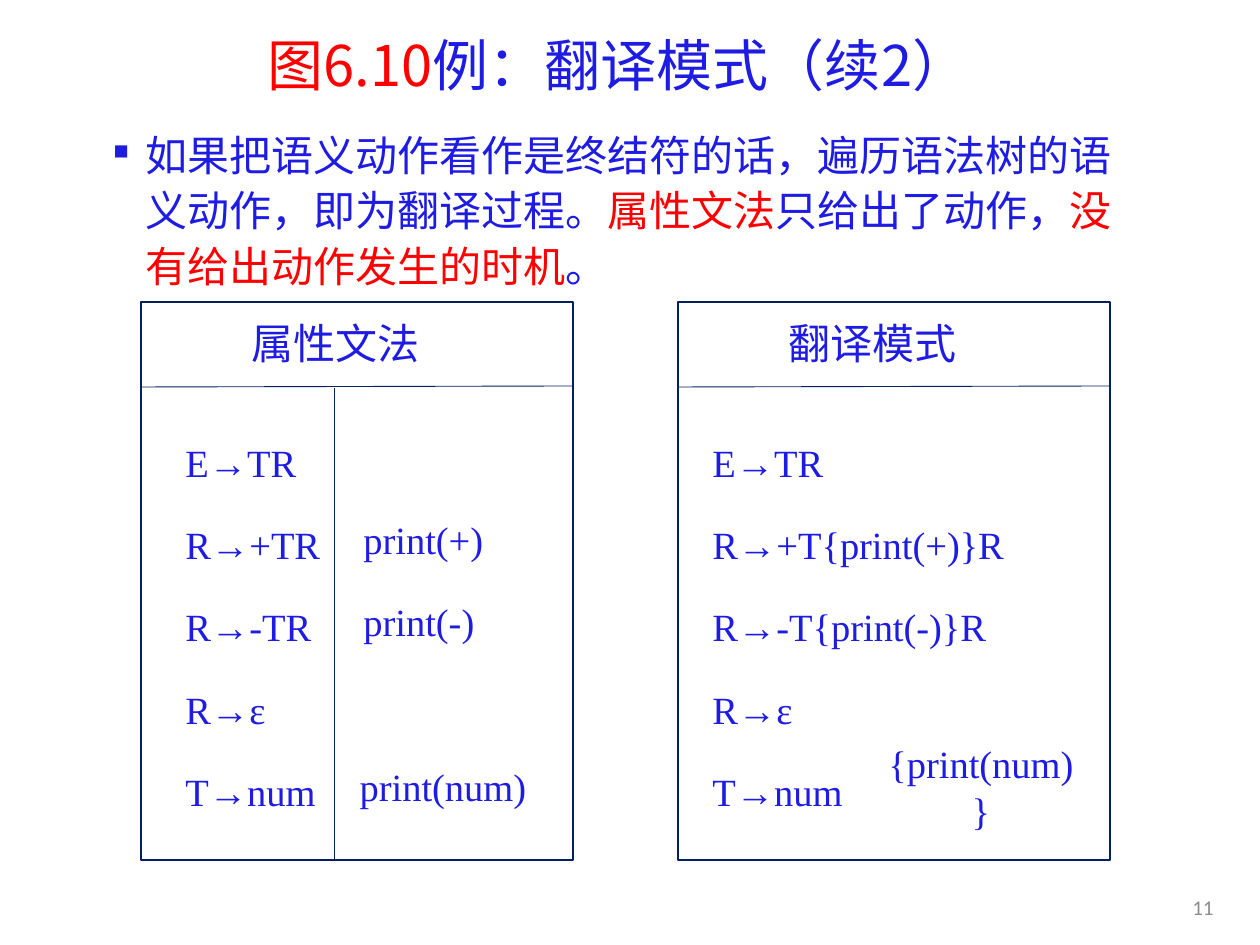
from lxml import etree
from pptx import Presentation
from pptx.dml.color import RGBColor
from pptx.enum.shapes import MSO_CONNECTOR, MSO_SHAPE
from pptx.enum.text import MSO_ANCHOR, PP_ALIGN
from pptx.oxml.ns import qn
from pptx.util import Pt

BLUE = RGBColor(0x1E, 0x1C, 0xE3)
RED = RGBColor(0xFF, 0x00, 0x00)
NAVY = RGBColor(0x00, 0x20, 0x60)
GRAY = RGBColor(0x8C, 0x8C, 0x8C)
RECTANGLE = MSO_SHAPE.RECTANGLE
STRAIGHT = MSO_CONNECTOR.STRAIGHT
TOP, MIDDLE = MSO_ANCHOR.TOP, MSO_ANCHOR.MIDDLE
LEFT, CENTER, RIGHT = PP_ALIGN.LEFT, PP_ALIGN.CENTER, PP_ALIGN.RIGHT
TITLE_FONT = "Noto Sans CJK JP"
BODY_FONT = "Noto Sans CJK SC"
CODE_FONT = "Times New Roman"
PAGE_FONT = "Calibri"
EMU_PER_PX = 914400 / 126

RULE_SPACING = {"line_spacing": 1.1, "space_before": Pt(6), "space_after": Pt(12)}
BODY_SPACING = {"line_spacing": 1.1, "space_before": Pt(6), "space_after": Pt(6)}


def emu(*lengths):
    return [round(length * EMU_PER_PX) for length in lengths]


class SlideBuilder:
    def __init__(self, slide):
        self.slide = slide
        self.text_color = BLUE
        self.line_color = NAVY

    def text(self, box, paragraphs, font, size, anchor=MIDDLE, color=None, **layout):
        frame = self.slide.shapes.add_textbox(*emu(*box)).text_frame
        frame.word_wrap = True
        frame.vertical_anchor = anchor
        for index, runs in enumerate(paragraphs):
            paragraph = frame.add_paragraph() if index else frame.paragraphs[0]
            for name, value in layout.items():
                setattr(paragraph, name, value)
            for words, run_color in runs:
                run = paragraph.add_run()
                run.text = words
                format_values = {"name": font, "size": Pt(size)}
                for name, value in format_values.items():
                    setattr(run.font, name, value)
                run.font.color.rgb = run_color or color or self.text_color
                east_asian = etree.SubElement(run.font._element, qn("a:ea"))
                east_asian.set("typeface", font)
        return frame

    def lines(self, box, lines, font, size, **options):
        return self.text(box, [[(line, None)] for line in lines], font, size, **options)

    def bullet(self, paragraph, indent):
        properties = paragraph._p.get_or_add_pPr()
        margin = emu(indent)[0]
        properties.set("marL", str(margin))
        properties.set("indent", str(-margin))
        etree.SubElement(properties, qn("a:buSzPct")).set("val", "50000")
        etree.SubElement(properties, qn("a:buChar")).set("char", "■")

    def frame(self, box):
        outline = self.slide.shapes.add_shape(RECTANGLE, *emu(*box))
        outline.shadow.inherit = False
        outline.fill.background()
        outline.line.color.rgb = self.line_color
        outline.line.width = Pt(1)

    def rule(self, *ends):
        divider = self.slide.shapes.add_connector(STRAIGHT, *emu(*ends))
        divider.line.color.rgb = self.line_color
        divider.line.width = Pt(0.5)
        etree.SubElement(divider._element.spPr, qn("a:effectLst"))

    def panel(self, left, heading, productions, production_box):
        top, width, height = 302, 432, 558
        self.frame((left, top, width, height))
        self.rule(left, top + 85, left + width, top + 84)
        self.lines((left + 98, top + 5, 212, 72), [heading], BODY_FONT, 24)
        offset, production_width = production_box
        self.lines((left + offset, 425, production_width, 398), productions,
                   CODE_FONT, 22, **RULE_SPACING)


def main():
    presentation = Presentation()
    presentation.slide_width, presentation.slide_height = emu(1260, 945)
    builder = SlideBuilder(presentation.slides.add_slide(presentation.slide_layouts[6]))

    builder.text((158, 26, 920, 84), [[("图6.10", RED), ("例：翻译模式（续2）", None)]],
                 TITLE_FONT, 32, alignment=CENTER, line_spacing=0.9)

    explanation = [
        ("如果把语义动作看作是终结符的话，遍历语法树的语义动作，即为翻译过程。", None),
        ("属性文法", RED),
        ("只给出了动作，", None),
        ("没有给出动作发生的时机", RED),
        ("。", None),
    ]
    body = builder.text((101, 118, 1056, 184), [explanation], BODY_FONT, 24,
                        anchor=TOP, alignment=LEFT, **BODY_SPACING)
    builder.bullet(body.paragraphs[0], 32)

    builder.panel(141, "属性文法",
                  ["E→TR", "R→+TR", "R→-TR", "R→ε", "T→num"], (32, 164))
    builder.rule(334, 388, 334, 859)
    builder.lines((351, 455, 248, 246), ["print(+)", "print(-)"], CODE_FONT, 22,
                  **RULE_SPACING)
    builder.lines((343, 751, 200, 71), ["print(num)"], CODE_FONT, 22, alignment=CENTER)

    builder.panel(678, "翻译模式",
                  ["E→TR", "R→+T{print(+)}R", "R→-T{print(-)}R", "R→ε", "T→num"],
                  (22, 334))
    builder.lines((869, 751, 224, 71), ["{print(num)}"], CODE_FONT, 22, alignment=CENTER)

    builder.lines((1140, 882, 86, 50), ["11"], PAGE_FONT, 12, color=GRAY, alignment=RIGHT)
    presentation.save("out.pptx")


if __name__ == "__main__":
    main()
